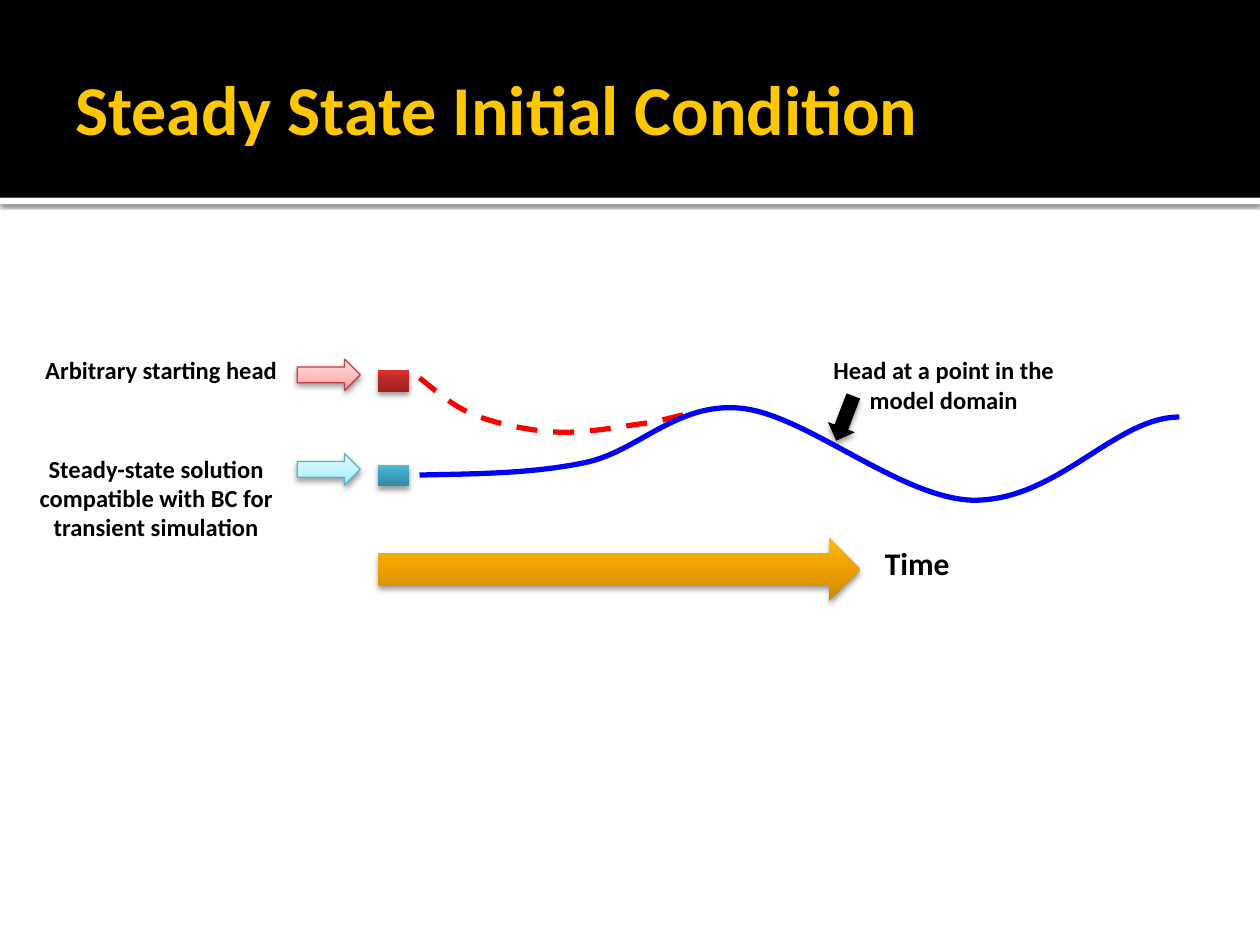
from lxml import etree
from pptx import Presentation
from pptx.dml.color import RGBColor
from pptx.enum.dml import MSO_LINE
from pptx.enum.shapes import MSO_SHAPE
from pptx.enum.text import MSO_ANCHOR, MSO_AUTO_SIZE, PP_ALIGN
from pptx.oxml.ns import qn
from pptx.util import Inches, Pt

RECTANGLE = MSO_SHAPE.RECTANGLE
RIGHT_ARROW = MSO_SHAPE.RIGHT_ARROW
DOWN_ARROW = MSO_SHAPE.DOWN_ARROW
DASH = MSO_LINE.DASH
LEFT, CENTER = PP_ALIGN.LEFT, PP_ALIGN.CENTER
TOP, MIDDLE = MSO_ANCHOR.TOP, MSO_ANCHOR.MIDDLE
GROW, FIXED = MSO_AUTO_SIZE.SHAPE_TO_FIT_TEXT, MSO_AUTO_SIZE.NONE

BLACK = RGBColor(0x00, 0x00, 0x00)
WHITE = RGBColor(0xFF, 0xFF, 0xFF)
TITLE_GOLD = RGBColor(0xFF, 0xC7, 0x00)
RED = RGBColor(0xFF, 0x00, 0x00)
BLUE = RGBColor(0x00, 0x00, 0xFF)
RED_EDGE = RGBColor(0xC4, 0x42, 0x41)
TEAL_EDGE = RGBColor(0x5A, 0xB1, 0xC9)


def stops(middle, *codes):
    """Pair three colours with positions 0, middle and 100 percent."""
    return list(zip((0, middle, 100), map(RGBColor.from_string, codes)))


TEAL_BOX = stops(55, "35899F", "40A1BC", "4BBEDD")
RED_BOX = stops(55, "9D2221", "BA2827", "DB302E")
GOLD = stops(55, "CA8800", "EFA200", "FFBE00")
PALE_RED = stops(35, "FF9999", "FFB8B8", "FFE2E2")
PALE_TEAL = stops(35, "A1EFFF", "BBF2FF", "E3FCFF")


def add_color(parent, color, alpha=None):
    element = etree.SubElement(parent, qn("a:srgbClr"), val=str(color))
    if alpha is not None:
        etree.SubElement(element, qn("a:alpha"), val=str(alpha * 1000))


class DiagramSlide:
    font = "Calibri"

    def __init__(self, slide):
        self.slide = slide

    def text(self, content, left, top, width, height, size=14, color=BLACK,
             align=CENTER, anchor=TOP, fit=GROW, right_inset=0.1):
        box = self.slide.shapes.add_textbox(
            Inches(left), Inches(top), Inches(width), Inches(height))
        frame = box.text_frame
        frame.word_wrap = True
        frame.auto_size = fit
        frame.vertical_anchor = anchor
        frame.margin_right = Inches(right_inset)
        paragraph = frame.paragraphs[0]
        paragraph.alignment = align
        run = paragraph.add_run()
        run.text = content
        run.font.name = self.font
        run.font.size = Pt(size)
        run.font.bold = True
        run.font.color.rgb = color

    def block(self, kind, left, top, width, height, fill, edge=None,
              rotation=0, shadow=(38, 3.1, 2)):
        """Add a preset shape; shadow is opacity percent, blur and distance."""
        shape = self.slide.shapes.add_shape(
            kind, Inches(left), Inches(top), Inches(width), Inches(height))
        shape.rotation = rotation
        if isinstance(fill, list):
            self.gradient(shape, fill)
        else:
            shape.fill.solid()
            shape.fill.fore_color.rgb = fill
        if edge is None:
            shape.line.fill.background()
        else:
            shape.line.color.rgb = edge
            shape.line.width = Pt(0.75)
        shape.shadow.inherit = False
        if shadow:
            self.drop_shadow(shape, *shadow)

    def gradient(self, shape, color_stops):
        shape.fill.gradient()
        shape.fill.gradient_angle = 90
        stop_list = shape.element.spPr.find(".//" + qn("a:gsLst"))
        for old_stop in list(stop_list):
            stop_list.remove(old_stop)
        for position, color in color_stops:
            stop = etree.SubElement(stop_list, qn("a:gs"), pos=str(position * 1000))
            add_color(stop, color)

    def drop_shadow(self, shape, opacity, blur, distance):
        effects = shape.element.spPr.find(qn("a:effectLst"))
        outer = etree.SubElement(
            effects, qn("a:outerShdw"), blurRad=str(Pt(blur)),
            dist=str(Pt(distance)), dir="5400000", rotWithShape="0")
        add_color(outer, BLACK, opacity)

    def curve(self, points, color, dash=None):
        """Draw cubic curves: a start, then two controls and an end for each."""
        first, *rest = [(Inches(x), Inches(y)) for x, y in points]
        builder = self.slide.shapes.build_freeform(*first)
        builder.add_line_segments(rest, close=False)
        shape = builder.convert_to_shape()
        segments = list(shape.element.spPr.iter(qn("a:lnTo")))
        outline = segments[0].getparent()
        for index in range(0, len(segments), 3):
            cubic = etree.SubElement(outline, qn("a:cubicBezTo"))
            for segment in segments[index:index + 3]:
                cubic.append(segment[0])
                outline.remove(segment)
        shape.fill.background()
        shape.line.color.rgb = color
        shape.line.width = Pt(3)
        if dash:
            shape.line.dash_style = dash
        shape.shadow.inherit = False


def main():
    deck = Presentation()
    deck.slide_width, deck.slide_height = Inches(10), Inches(7.5)
    page = DiagramSlide(deck.slides.add_slide(deck.slide_layouts[6]))

    page.block(RECTANGLE, 0, 1.57, 10, 0.05, WHITE, shadow=(60, 2.5, 0.8))
    page.block(RECTANGLE, 0, 0, 10, 1.57, BLACK, shadow=None)
    page.text("Steady State Initial Condition", 0.5, 0.17, 9, 1.37, size=40,
              color=TITLE_GOLD, align=LEFT, anchor=MIDDLE, fit=FIXED,
              right_inset=0.05)

    page.block(RECTANGLE, 3, 3.69, 0.25, 0.17, TEAL_BOX)
    page.block(RIGHT_ARROW, 3, 4.27, 3.83, 0.5, GOLD)
    page.block(RECTANGLE, 3, 2.94, 0.25, 0.17, RED_BOX)

    page.curve([
        (3.33, 3),
        (3.47, 3.11), (3.6, 3.23), (3.78, 3.3),
        (3.97, 3.37), (4.21, 3.42), (4.43, 3.43),
        (4.66, 3.44), (4.95, 3.38), (5.12, 3.36),
        (5.3, 3.33), (5.37, 3.3), (5.49, 3.28),
    ], RED, dash=DASH)
    page.curve([
        (3.33, 3.77),
        (3.78, 3.76), (4.22, 3.76), (4.65, 3.67),
        (5.07, 3.58), (5.37, 3.19), (5.88, 3.24),
        (6.4, 3.29), (7.15, 3.96), (7.73, 3.97),
        (8.4, 3.97), (8.85, 3.31), (9.36, 3.31),
    ], BLUE)

    page.text("Arbitrary starting head", 0.2, 2.77, 2.16, 0.34)
    page.text("Steady-state solution compatible with BC for transient simulation",
              0.11, 3.55, 2.26, 0.81)
    for top, fill, edge in [(2.85, PALE_RED, RED_EDGE), (3.6, PALE_TEAL, TEAL_EDGE)]:
        page.block(RIGHT_ARROW, 2.36, top, 0.5, 0.25, fill, edge=edge,
                   shadow=(38, 3.5, 2))
    page.text("Time", 6.86, 4.27, 0.84, 0.4, size=18)
    page.text("Head at a point in the model domain", 6.45, 2.77, 2.08, 0.57)
    page.block(DOWN_ARROW, 6.59, 3.13, 0.23, 0.38, BLACK, rotation=21)

    deck.save("out.pptx")


if __name__ == "__main__":
    main()
